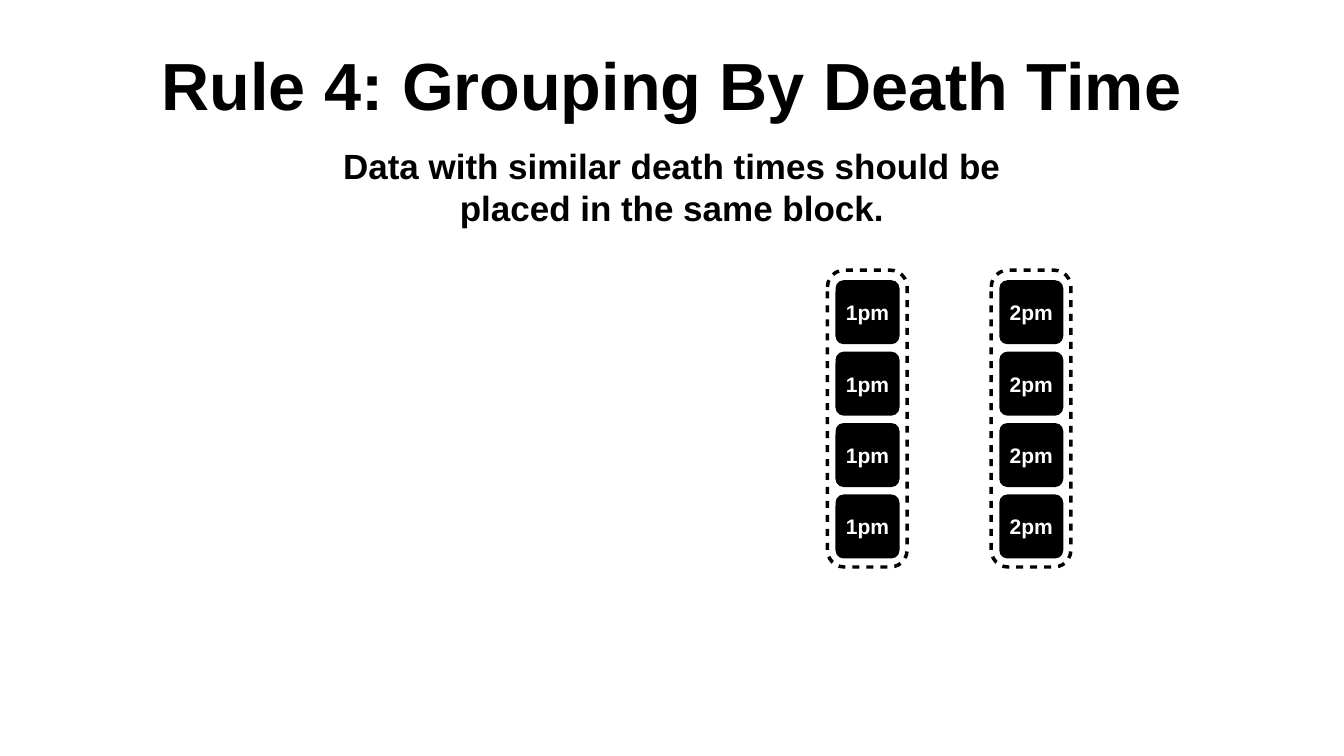
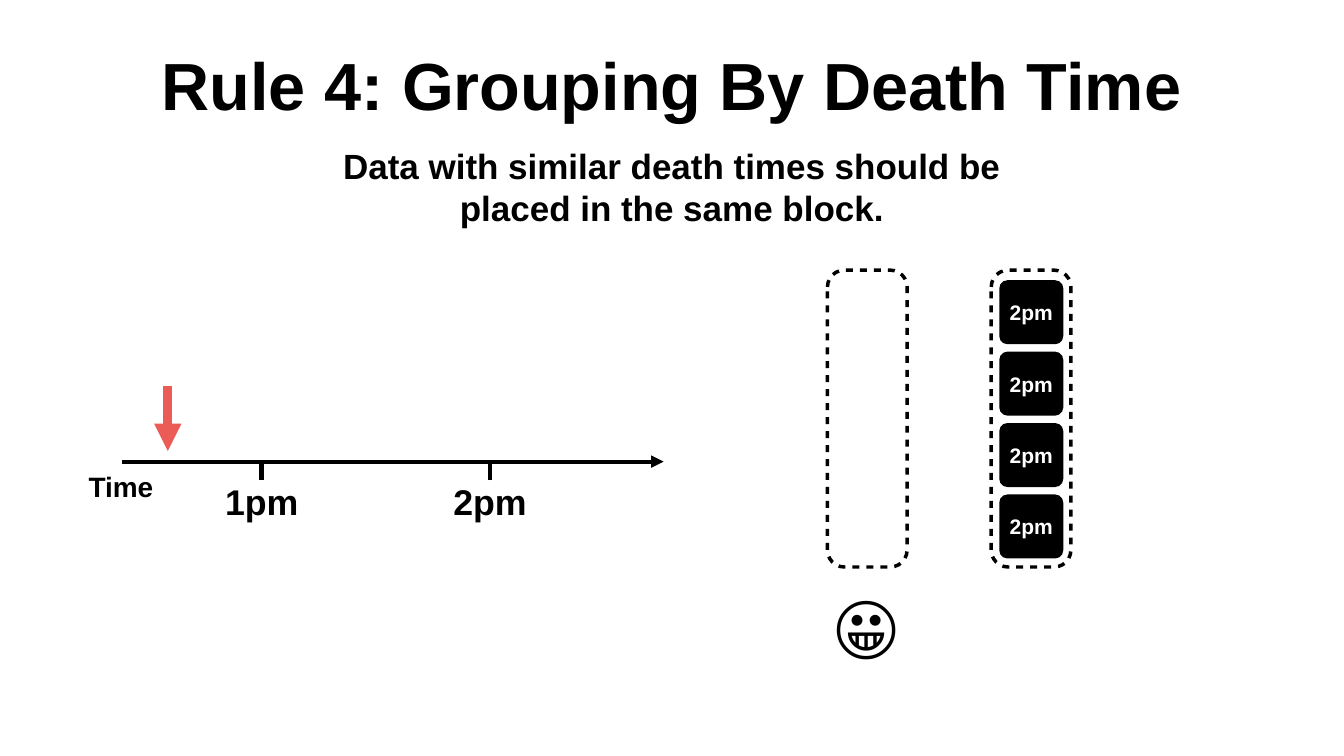
from lxml.etree import SubElement as Sub
from pptx import Presentation
from pptx.dml.color import RGBColor as RGB
from pptx.enum.shapes import MSO_CONNECTOR as Link, MSO_SHAPE as Form
from pptx.enum.text import MSO_ANCHOR as Anchor, PP_ALIGN as Align
from pptx.oxml.ns import qn
from pptx.util import Inches, Pt

BLACK = RGB(0, 0, 0)
WHITE = RGB(255, 255, 255)
RED = RGB(0xEC, 0x5C, 0x57)
FONT = "Arial"
WIDE, HIGH = 26.67, 15

TITLE = "Rule 4: Grouping By Death Time"
CLAIM = "Data with similar death times should be placed in the same block."
SLIDES = [
    {"blocks": ["1pm", "2pm"], "axis": False},
    {"blocks": [None, "2pm"], "axis": True},
]
TICKS = ["1pm", "2pm"]
FACE = "😀"

ROWS = 4
CELL, PITCH = 1.27, 1.417
FRAME_X, FRAME_Y, FRAME_W, FRAME_H = 16.42, 5.36, 1.58, 5.89
FRAME_STEP = 3.25
PAD_X, PAD_Y = 0.16, 0.2
AXIS_X, AXIS_Y, AXIS_END = 2.42, 9.16, 13.17
TICK_X, TICK_STEP = 5.19, 4.53
NOW_X = 3.33


def put_text(frame, text, size, color=BLACK, bold=True, anchor=Anchor.MIDDLE,
             wrap=True, space=None):
    frame.word_wrap = wrap
    frame.vertical_anchor = anchor
    frame.margin_left = frame.margin_right = Inches(0.08)
    frame.margin_top = frame.margin_bottom = Inches(0.08)
    para = frame.paragraphs[0]
    para.alignment = Align.CENTER
    para.line_spacing = space
    run = para.add_run()
    run.text = text
    font = run.font
    font.name, font.size, font.bold = FONT, Pt(size), bold
    font.color.rgb = color


def add_label(shapes, text, x, y, w, h, **style):
    box = shapes.add_textbox(*map(Inches, (x, y, w, h)))
    put_text(box.text_frame, text, **style)


def add_round(shapes, x, y, w, h, bend, fill=None):
    shape = shapes.add_shape(Form.ROUNDED_RECTANGLE, *map(Inches, (x, y, w, h)))
    shape.shadow.inherit = False
    shape.adjustments[0] = bend
    if fill is None:
        shape.fill.background()
    else:
        shape.fill.solid()
        shape.fill.fore_color.rgb = fill
    shape.line.fill.background()
    return shape


def add_line(shapes, x1, y1, x2, y2, color=BLACK, width=6, arrow=False):
    line = shapes.add_connector(Link.STRAIGHT, *map(Inches, (x1, y1, x2, y2)))
    line.line.color.rgb = color
    line.line.width = Pt(width)
    if arrow:
        Sub(line.line._get_or_add_ln(), qn("a:tailEnd"), type="triangle")
    Sub(line._element.spPr, qn("a:effectLst"))


def add_frame(shapes, x, fill=None):
    frame = add_round(shapes, x, FRAME_Y, FRAME_W, FRAME_H, 0.211, fill)
    frame.line.color.rgb = BLACK
    frame.line.width = Pt(5)
    dash = Sub(frame.line._get_or_add_ln(), qn("a:custDash"))
    Sub(dash, qn("a:ds"), d="200000", sp="200000")


def add_block(shapes, x, hour):
    group = shapes.add_group_shape().shapes
    for row in range(ROWS):
        y = FRAME_Y + PAD_Y + row * PITCH
        cell = add_round(group, x + PAD_X, y, CELL, CELL, 0.128, BLACK)
        put_text(cell.text_frame, hour, size=30, color=WHITE)
    add_frame(group, x)


def add_axis(shapes):
    group = shapes.add_group_shape().shapes
    add_line(group, AXIS_X, AXIS_Y, AXIS_END, AXIS_Y, arrow=True)
    add_label(group, "Time", 1.67, 9.25, 1.46, 0.82, size=40,
              anchor=Anchor.BOTTOM, wrap=False)
    for num, hour in enumerate(TICKS):
        x = TICK_X + num * TICK_STEP
        add_line(group, x, AXIS_Y + 0.37, x, AXIS_Y + 0.03)
        add_label(group, hour, x - 0.81, AXIS_Y + 0.3, 1.63, 1, size=51,
                  anchor=Anchor.BOTTOM, wrap=False, space=0.9)
    add_line(shapes, NOW_X, 7.66, NOW_X, 8.95, color=RED, width=13, arrow=True)


def add_page(deck, blocks, axis):
    shapes = deck.slides.add_slide(deck.slide_layouts[6]).shapes
    add_label(shapes, TITLE, 3.03, 0.01, 20.6, 3.32, size=95.2)
    add_label(shapes, CLAIM, 5.59, 2.8, 15.49, 1.82, size=50,
              anchor=Anchor.BOTTOM)
    if axis:
        add_axis(shapes)
    for col, hour in enumerate(blocks):
        x = FRAME_X + col * FRAME_STEP
        if hour:
            add_block(shapes, x, hour)
        else:
            add_frame(shapes, x, WHITE)
            add_label(shapes, FACE, x - 0.04, 11.29, 1.65, 1.98, size=100,
                      bold=False, anchor=Anchor.BOTTOM)


def main():
    deck = Presentation()
    deck.slide_width, deck.slide_height = Inches(WIDE), Inches(HIGH)
    for page in SLIDES:
        add_page(deck, **page)
    deck.save("out.pptx")


if __name__ == "__main__":
    main()
